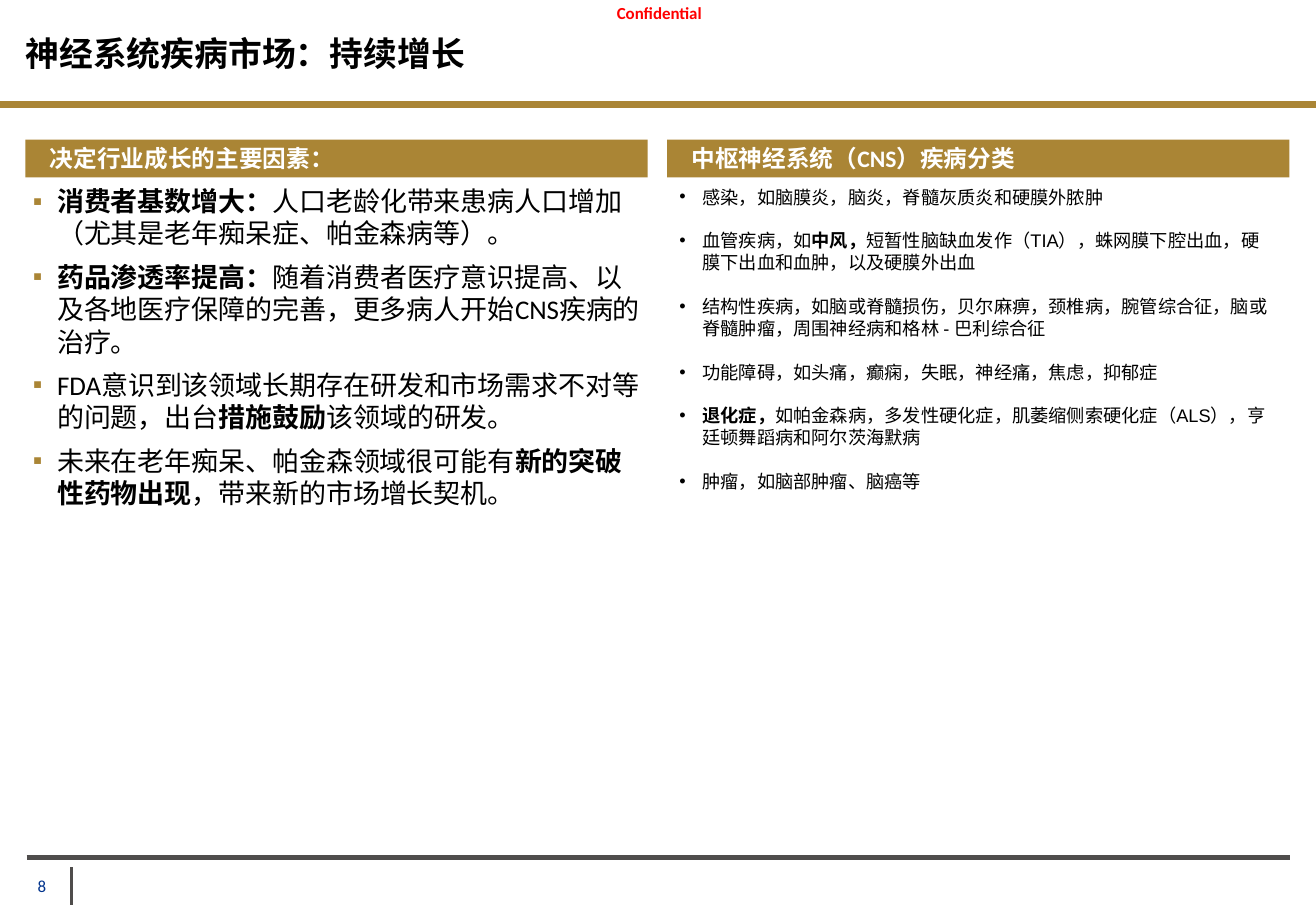
from lxml import etree
from pptx import Presentation
from pptx.dml.color import RGBColor
from pptx.enum.shapes import MSO_CONNECTOR, MSO_SHAPE
from pptx.enum.text import MSO_ANCHOR, MSO_AUTO_SIZE, PP_ALIGN
from pptx.oxml.ns import qn
from pptx.util import Inches, Pt

RECT = MSO_SHAPE.RECTANGLE
STRAIGHT = MSO_CONNECTOR.STRAIGHT
TOP, MIDDLE = MSO_ANCHOR.TOP, MSO_ANCHOR.MIDDLE
LEFT, CENTER = PP_ALIGN.LEFT, PP_ALIGN.CENTER
NO_FIT = MSO_AUTO_SIZE.NONE

GOLD, GREY, NAVY = "AA8535", "4F4D4C", "00338D"
BLACK, WHITE, RED = "000000", "FFFFFF", "FF0000"
COLUMN_LEFTS, COLUMN_WIDTH = (0.21, 5.49), 5.12

# Each paragraph is a list of (text, bold) runs
GROWTH_FACTORS = [
    [("消费者基数增大：", True),
     ("人口老龄化带来患病人口增加（尤其是老年痴呆症、帕金森病等）。", False)],
    [("药品渗透率提高：", True),
     ("随着消费者医疗意识提高、以及各地医疗保障的完善，更多病人开始CNS疾病的治疗。", False)],
    [("FDA意识到该领域长期存在研发和市场需求不对等的问题，出台", False),
     ("措施鼓励", True), ("该领域的研发。", False)],
    [("未来在老年痴呆、帕金森领域很可能有", False),
     ("新的突破性药物出现", True), ("，带来新的市场增长契机。", False)],
]
CNS_CLASSES = [
    [("感染，如脑膜炎，脑炎，脊髓灰质炎和硬膜外脓肿", False)],
    [("血管疾病，如", False), ("中风，", True),
     ("短暂性脑缺血发作（TIA），蛛网膜下腔出血，硬膜下出血和血肿，以及硬膜外出血", False)],
    [("结构性疾病，如脑或脊髓损伤，贝尔麻痹，颈椎病，腕管综合征，"
      "脑或脊髓肿瘤，周围神经病和格林 - 巴利综合征", False)],
    [("功能障碍，如头痛，癫痫，失眠，神经痛，焦虑，抑郁症", False)],
    [("退化症，", True),
     ("如帕金森病，多发性硬化症，肌萎缩侧索硬化症（ALS），亨廷顿舞蹈病和阿尔茨海默病", False)],
    [("肿瘤，如脑部肿瘤、脑癌等", False)],
]


def rgb(hex_color):
    return RGBColor.from_string(hex_color)


class SlideBuilder:
    font = "Calibri"

    def __init__(self, slide):
        self.slide = slide

    def place(self, shape, left, top, width, height):
        shape.left, shape.top = Inches(left), Inches(top)
        shape.width, shape.height = Inches(width), Inches(height)

    def frame(self, shape, insets, anchor=TOP):
        frame = shape.text_frame
        frame.word_wrap = True
        frame.auto_size = NO_FIT
        frame.vertical_anchor = anchor
        (frame.margin_left, frame.margin_top,
         frame.margin_right, frame.margin_bottom) = map(Inches, insets)
        return frame

    def style(self, paragraph, size, color, bold=False, align=LEFT, font=None):
        paragraph.alignment = align
        paragraph.font.name = font or self.font
        paragraph.font.size = Pt(size)
        paragraph.font.bold = bold
        paragraph.font.color.rgb = rgb(color)

    def line(self, x1, y1, x2, y2, color, width):
        rule = self.slide.shapes.add_connector(
            STRAIGHT, Inches(x1), Inches(y1), Inches(x2), Inches(y2))
        rule.line.color.rgb = rgb(color)
        rule.line.width = Pt(width)
        etree.SubElement(rule._element.spPr, qn("a:effectLst"))

    def label(self, text, box, insets, size, color, **style):
        label = self.slide.shapes.add_textbox(*map(Inches, box))
        paragraph = self.frame(label, insets).paragraphs[0]
        paragraph.text = text
        self.style(paragraph, size, color, **style)

    def title(self, text, box):
        title = self.slide.shapes.title
        self.place(title, *box)
        paragraph = self.frame(title, (0, 0, 0, 0), MIDDLE).paragraphs[0]
        paragraph.text = text
        self.style(paragraph, 20, BLACK, bold=True)

    def header(self, text, left):
        bar = self.slide.shapes.add_shape(
            RECT, *map(Inches, (left, 1.15, COLUMN_WIDTH, 0.31)))
        bar.shadow.inherit = False
        bar.fill.solid()
        bar.fill.fore_color.rgb = rgb(GOLD)
        bar.line.fill.background()
        paragraph = self.frame(bar, (0.2, 0.05, 0.1, 0.05), MIDDLE).paragraphs[0]
        paragraph.text = text
        self.style(paragraph, 14, WHITE, bold=True)

    def bullet(self, paragraph, char, color, margin, indent):
        props = paragraph._p.get_or_add_pPr()
        props.set("marL", str(Inches(margin)))
        props.set("indent", str(Inches(-indent)))
        bullet_color = etree.SubElement(props, qn("a:buClr"))
        etree.SubElement(bullet_color, qn("a:srgbClr"), val=color)
        etree.SubElement(props, qn("a:buFont"), typeface="Arial")
        etree.SubElement(props, qn("a:buChar"), char=char)

    def bullets(self, idx, items, box, insets, char, char_color,
                margin, indent, gap, size, font=None):
        body = self.slide.placeholders[idx]
        self.place(body, *box)
        frame = self.frame(body, insets)
        for i, runs in enumerate(items):
            paragraph = frame.add_paragraph() if i else frame.paragraphs[0]
            self.bullet(paragraph, char, char_color, margin, indent)
            paragraph.space_before = Pt(gap if i else 0)
            self.style(paragraph, size, BLACK, font=font)
            for text, bold in runs:
                run = paragraph.add_run()
                run.text = text
                if bold:
                    run.font.bold = True


def main():
    deck = Presentation()
    deck.slide_width, deck.slide_height = Inches(10.83), Inches(7.5)
    page = SlideBuilder(deck.slides.add_slide(deck.slide_layouts[3]))

    # Page frame: rules, page number and marking
    page.line(0.22, 7.06, 10.62, 7.06, GREY, 2.5)
    page.label("8", (0.22, 7.12, 0.34, 0.31), (0.09, 0.09, 0, 0), 10, NAVY)
    page.line(0, 0.86, 10.83, 0.86, GOLD, 4)
    page.line(0.59, 7.14, 0.59, 7.45, GREY, 1.5)
    page.label("Confidential", (4.7, -0.04, 1.45, 0.24), (0.06,) * 4,
               10, RED, bold=True, align=CENTER)

    # Title
    page.title("神经系统疾病市场：持续增长", (0.21, 0.12, 10.39, 0.63))

    # Two lists
    page.bullets(1, GROWTH_FACTORS, (0.2, 1.48, COLUMN_WIDTH, 2.56), (0.04,) * 4,
                 "▪", GOLD, margin=0.23, indent=0.2, gap=6.5, size=16)
    page.bullets(2, CNS_CLASSES, (5.49, 1.48, COLUMN_WIDTH, 2.67),
                 (0.1, 0.05, 0.1, 0.05), "•", BLACK,
                 margin=0.19, indent=0.19, gap=13, size=10.8, font="Arial")

    # Column headers
    headings = ("决定行业成长的主要因素：", "中枢神经系统（CNS）疾病分类")
    for heading, left in zip(headings, COLUMN_LEFTS):
        page.header(heading, left)

    deck.save("out.pptx")


if __name__ == "__main__":
    main()
